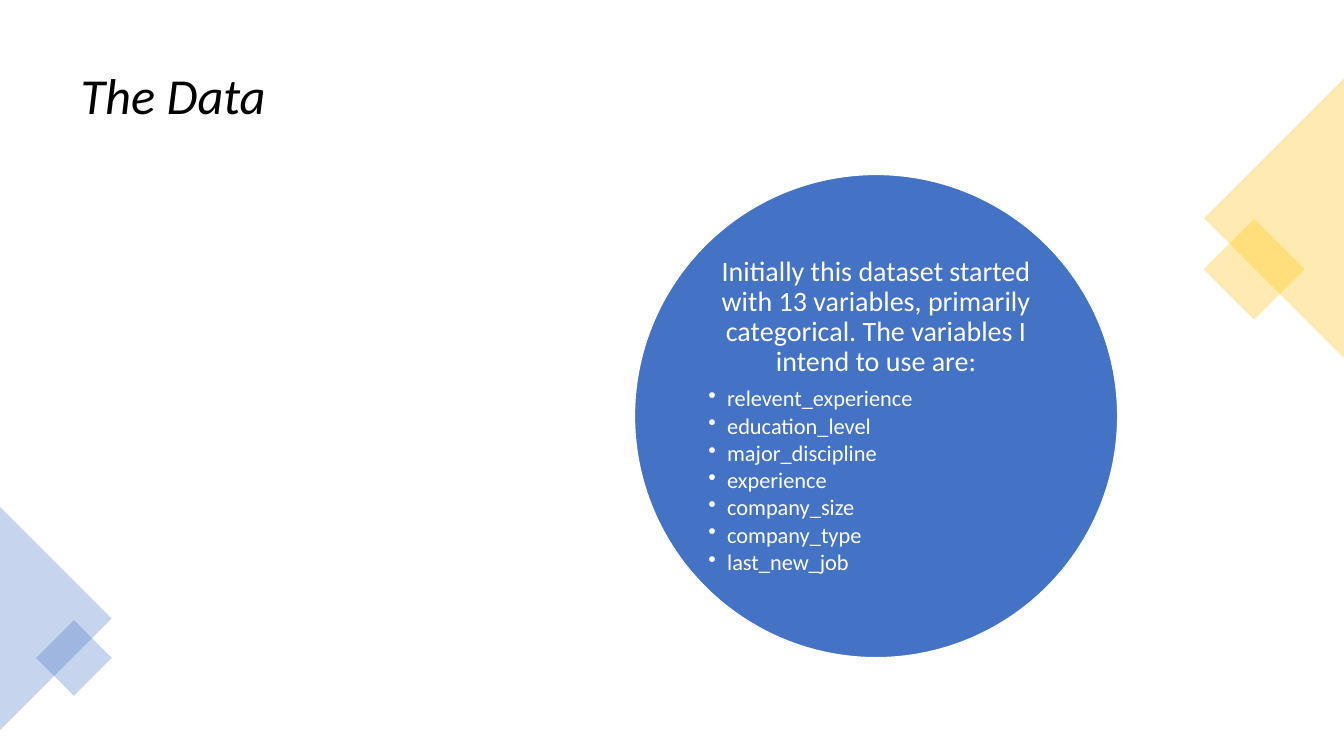
from dataclasses import dataclass

from lxml import etree
from pptx import Presentation
from pptx.dml.color import RGBColor
from pptx.enum.shapes import MSO_SHAPE
from pptx.enum.text import MSO_ANCHOR, MSO_AUTO_SIZE, PP_ALIGN
from pptx.oxml.ns import qn
from pptx.util import Pt

ELLIPSE, RECTANGLE = MSO_SHAPE.OVAL, MSO_SHAPE.RECTANGLE
TRIANGLE = MSO_SHAPE.ISOSCELES_TRIANGLE
LEFT, CENTER, MIDDLE = PP_ALIGN.LEFT, PP_ALIGN.CENTER, MSO_ANCHOR.MIDDLE


@dataclass(frozen=True)
class Theme:
    font: str = "Calibri"
    black: RGBColor = RGBColor(0x00, 0x00, 0x00)
    white: RGBColor = RGBColor(0xFF, 0xFF, 0xFF)
    blue: RGBColor = RGBColor(0x44, 0x72, 0xC4)
    gold: RGBColor = RGBColor(0xFF, 0xC0, 0x00)
    title_size: int = 36
    intro_size: int = 20
    variable_size: int = 16
    line_spacing: float = 0.9
    corner_opacity: int = 30


THEME = Theme()
TITLE = "The Data"
INTRO = ("Initially this dataset started with 13 variables, primarily "
         "categorical. The variables I intend to use are:")
VARIABLES = ["relevent_experience", "education_level", "major_discipline",
             "experience", "company_size", "company_type", "last_new_job"]

# Lengths in points
SLIDE_SIZE = (960, 540)
TITLE_BOX = (50.4, 25.2, 859, 89.3)
CIRCLE_BOX = (453.2, 124.6, 345.2, 345.2)
CIRCLE_INSET = 2.2
BULLET_INDENT = 13.5
INTRO_GAP, VARIABLE_GAP = 7, 2.2
# Preset, centre x, centre y, width, height, rotation, colour
CORNERS = [
    (RECTANGLE, 895.8, 192.4, 51, 51, 45, THEME.gold),
    (TRIANGLE, 910, 155.8, 199.6, 99.8, 270, THEME.gold),
    (TRIANGLE, 39.9, 441.8, 159.4, 79.7, 90, THEME.blue),
    (RECTANGLE, 52.8, 470, 38.2, 38.2, 45, THEME.blue),
]


def add_filled_shape(slide, preset, box, color):
    shape = slide.shapes.add_shape(preset, *map(Pt, box))
    shape.shadow.inherit = False
    shape.fill.solid()
    shape.fill.fore_color.rgb = color
    shape.line.fill.background()
    return shape


def style_paragraph(paragraph, size, color, alignment):
    paragraph.font.name = THEME.font
    paragraph.font.size = Pt(size)
    paragraph.font.color.rgb = color
    paragraph.alignment = alignment
    paragraph.line_spacing = THEME.line_spacing


def add_bullet(paragraph):
    properties = paragraph._p.get_or_add_pPr()
    properties.set("marL", str(Pt(BULLET_INDENT)))
    properties.set("indent", str(-Pt(BULLET_INDENT)))
    bullet = etree.Element(qn("a:buChar"), char="•")
    properties.insert_element_before(bullet, "a:tabLst", "a:defRPr", "a:extLst")


def add_title(slide):
    title = slide.shapes.title
    title.left, title.top, title.width, title.height = map(Pt, TITLE_BOX)
    frame = title.text_frame
    frame.text = TITLE
    frame.auto_size = MSO_AUTO_SIZE.NONE
    frame.vertical_anchor = MIDDLE
    paragraph = frame.paragraphs[0]
    style_paragraph(paragraph, THEME.title_size, THEME.black, LEFT)
    paragraph.font.italic = True


def add_data_circle(slide):
    circle = add_filled_shape(slide, ELLIPSE, CIRCLE_BOX, THEME.blue)
    circle.line.color.rgb = THEME.white
    circle.line.width = Pt(1)
    frame = circle.text_frame
    frame.word_wrap = True
    frame.vertical_anchor = MIDDLE
    frame.margin_left = frame.margin_right = Pt(CIRCLE_INSET)
    frame.margin_top = frame.margin_bottom = Pt(CIRCLE_INSET)
    intro = frame.paragraphs[0]
    intro.text = INTRO
    style_paragraph(intro, THEME.intro_size, THEME.white, CENTER)
    intro.space_after = Pt(INTRO_GAP)
    for variable in VARIABLES:
        paragraph = frame.add_paragraph()
        paragraph.text = variable
        paragraph.level = 1
        style_paragraph(paragraph, THEME.variable_size, THEME.white, LEFT)
        paragraph.space_after = Pt(VARIABLE_GAP)
        add_bullet(paragraph)


def add_corner(slide, preset, center_x, center_y, width, height, rotation, color):
    box = (center_x - width / 2, center_y - height / 2, width, height)
    shape = add_filled_shape(slide, preset, box, color)
    shape.rotation = rotation
    fill_color = shape._element.spPr.find(qn("a:solidFill"))[0]
    etree.SubElement(fill_color, qn("a:alpha"), val=str(THEME.corner_opacity * 1000))


def main():
    presentation = Presentation()
    presentation.slide_width, presentation.slide_height = map(Pt, SLIDE_SIZE)
    title_only = presentation.slide_layouts[5]
    slide = presentation.slides.add_slide(title_only)
    add_title(slide)
    add_data_circle(slide)
    for corner in CORNERS:
        add_corner(slide, *corner)
    presentation.save("out.pptx")


if __name__ == "__main__":
    main()
